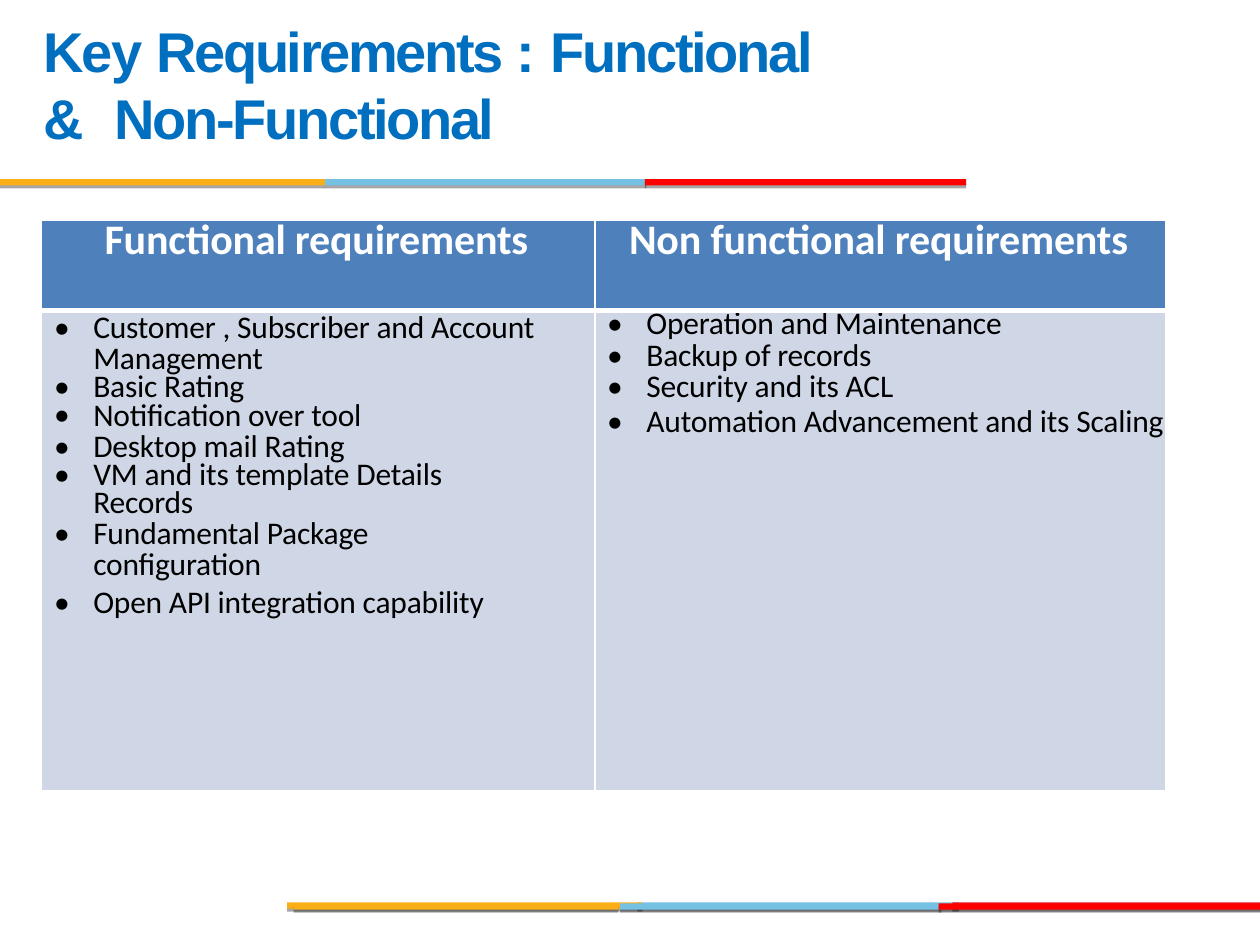
from lxml.etree import SubElement
from pptx import Presentation
from pptx.dml.color import RGBColor
from pptx.enum.shapes import MSO_SHAPE as Preset
from pptx.enum.text import MSO_ANCHOR as Anchor, MSO_AUTO_SIZE as AutoSize, PP_ALIGN as Align
from pptx.oxml.ns import qn
from pptx.util import Cm, Pt

ORANGE, BLUE, RED, WHITE = "FBAF16", "75C1E4", "FF0000", "FFFFFF"
HEADER_BARS = [(6.55, 6.48, BLUE), (0, 6.55, ORANGE), (13, 6.48, RED)]
FOOTER_BACK = [(12.85, 6.48, BLUE), (19.2, 6.2, "E21B23"), (5.79, 7.16, ORANGE)]
FOOTER_FRONT = [(12.5, 6.48, BLUE), (5.92, 6.55, ORANGE), (18.92, 6.48, RED)]
TITLE = [("Key ", -1), ("Requirements ", -1.4), (": ", 0), ("Functional ", -1.4),
         ("&  ", 0), ("Non-Functional", -1.4)]
HEADINGS = [("Functional requirements", 1.27), ("Non functional requirements", 0.69)]
FUNCTIONAL = [
    ("Customer , Subscriber and Account  Management", 17.9, 0),
    ("Basic Rating", 16.1, 0),
    ("Notification over tool", 16.1, 0),
    ("Desktop mail Rating", 17.9, 0),
    ("VM and its template Details Records", 16.1, 1.5),
    ("Fundamental Package configuration", 17.7, 1.5),
    ("Open API integration capability", 21.9, 0),
]
NON_FUNCTIONAL = [
    ("Operation and Maintenance", 18.8, 0),
    ("Backup of records", 17.9, 0),
    ("Security and its ACL", 17.9, 0),
    ("Automation Advancement and its Scaling", 19.8, 0),
]


def paint(fill, color):
    """Make a fill solid in a hex colour."""
    fill.solid()
    fill.fore_color.rgb = RGBColor.from_string(color)


def style(span, font, size, color, bold=False, spacing=0):
    """Format a run, with letter spacing in points."""
    span.font.name, span.font.size, span.font.bold = font, Pt(size), bold
    paint(span.font.fill, color)
    span.font._element.set("spc", str(round(spacing * 100)))


def indent(para, left, first=0, right=0):
    """Set paragraph indents in centimetres."""
    properties = para._p.get_or_add_pPr()
    for name, value in (("marL", left), ("indent", first), ("marR", right)):
        properties.set(name, str(Cm(value)))


def add_bar(page, left, top, width, color, alpha=None):
    """Add one thin strip."""
    bar = page.shapes.add_shape(Preset.RECTANGLE, Cm(left), Cm(top), Cm(width), Cm(0.13))
    bar.shadow.inherit = False
    bar.line.fill.background()
    paint(bar.fill, color)
    if alpha:
        tint = bar.fill._xPr.find(qn("a:solidFill"))[0]
        SubElement(tint, qn("a:alpha"), val=str(alpha * 1000))


def add_stripe(page, top, bars):
    """Add a row of strips, each over its shade."""
    for left, width, color in bars:
        add_bar(page, left, top + 0.06, width, "000000", 35)
        add_bar(page, left, top, width, color)


def fill_title(page):
    """Place the title and write its runs."""
    box = page.shapes.title
    box.left, box.top, box.width, box.height = Cm(0.84), Cm(0.3), Cm(16.76), Cm(2.77)
    frame = box.text_frame
    frame.margin_left = frame.margin_right = frame.margin_bottom = 0
    frame.margin_top = Cm(0.03)
    frame.vertical_anchor = Anchor.TOP
    frame.word_wrap = True
    frame.auto_size = AutoSize.SHAPE_TO_FIT_TEXT
    para = frame.paragraphs[0]
    para.alignment, para.space_before = Align.LEFT, Pt(1)
    indent(para, 0.03, right=0.8)
    for text, spacing in TITLE:
        span = para.add_run()
        span.text = text
        style(span, "Arial", 32, "006FBF", True, spacing)


def format_cell(cell, color, top_line, bottom_line):
    """Set margins, white borders and fill of a cell."""
    cell.margin_left = cell.margin_right = cell.margin_top = cell.margin_bottom = 0
    cell.vertical_anchor = Anchor.TOP
    properties = cell._tc.get_or_add_tcPr()
    for side, width in (("L", 1), ("R", 1), ("T", top_line), ("B", bottom_line)):
        line = SubElement(properties, qn(f"a:ln{side}"), w=str(Pt(width)))
        SubElement(SubElement(line, qn("a:solidFill")), qn("a:srgbClr"), val=WHITE)
    paint(cell.fill, color)


def fill_heading(cell, text, left):
    """Write a column heading."""
    format_cell(cell, "4E80BC", 1, 3)
    cell.text_frame.text = text
    para = cell.text_frame.paragraphs[0]
    para.line_spacing = Pt(26.4)
    indent(para, left)
    style(para.runs[0], "Calibri", 24, WHITE, True, -0.1)


def fill_list(cell, items):
    """Write a bulleted list of (text, line spacing, right indent)."""
    format_cell(cell, "CFD7E6", 3, 1)
    frame = cell.text_frame
    frame.text = "\n".join(text for text, _, _ in items)
    for para, (_, pitch, right) in zip(frame.paragraphs, items):
        para.line_spacing = Pt(pitch)
        indent(para, 1.04, -0.79, right)
        style(para.runs[0], "Calibri", 18, "000000", spacing=-0.1)
        properties = para._p.get_or_add_pPr()
        SubElement(properties, qn("a:buFont"), typeface="Calibri")
        SubElement(properties, qn("a:buChar"), char="•")


def add_requirements(page):
    """Add the table of requirements."""
    table = page.shapes.add_table(2, 2, Cm(0.84), Cm(4.43), Cm(22.66), Cm(11.51)).table
    for column, width in zip(table.columns, (11.15, 11.51)):
        column.width = Cm(width)
    for row, height in zip(table.rows, (1.83, 9.68)):
        row.height = Cm(height)
    for index, (text, left) in enumerate(HEADINGS):
        fill_heading(table.cell(0, index), text, left)
    for index, items in enumerate((FUNCTIONAL, NON_FUNCTIONAL)):
        fill_list(table.cell(1, index), items)
    first = table.cell(1, 0)
    first.margin_top = Cm(0.1)
    first.text_frame.paragraphs[0].space_before = Pt(2.6)


def main():
    """Build the slide and save it."""
    deck = Presentation()
    deck.slide_width, deck.slide_height = Cm(25.4), Cm(19.05)
    page = deck.slides.add_slide(deck.slide_layouts[5])
    add_stripe(page, 18.19, FOOTER_BACK)
    add_stripe(page, 18.21, FOOTER_FRONT)
    add_stripe(page, 3.61, HEADER_BARS)
    add_requirements(page)
    fill_title(page)
    deck.save("out.pptx")


if __name__ == "__main__":
    main()
